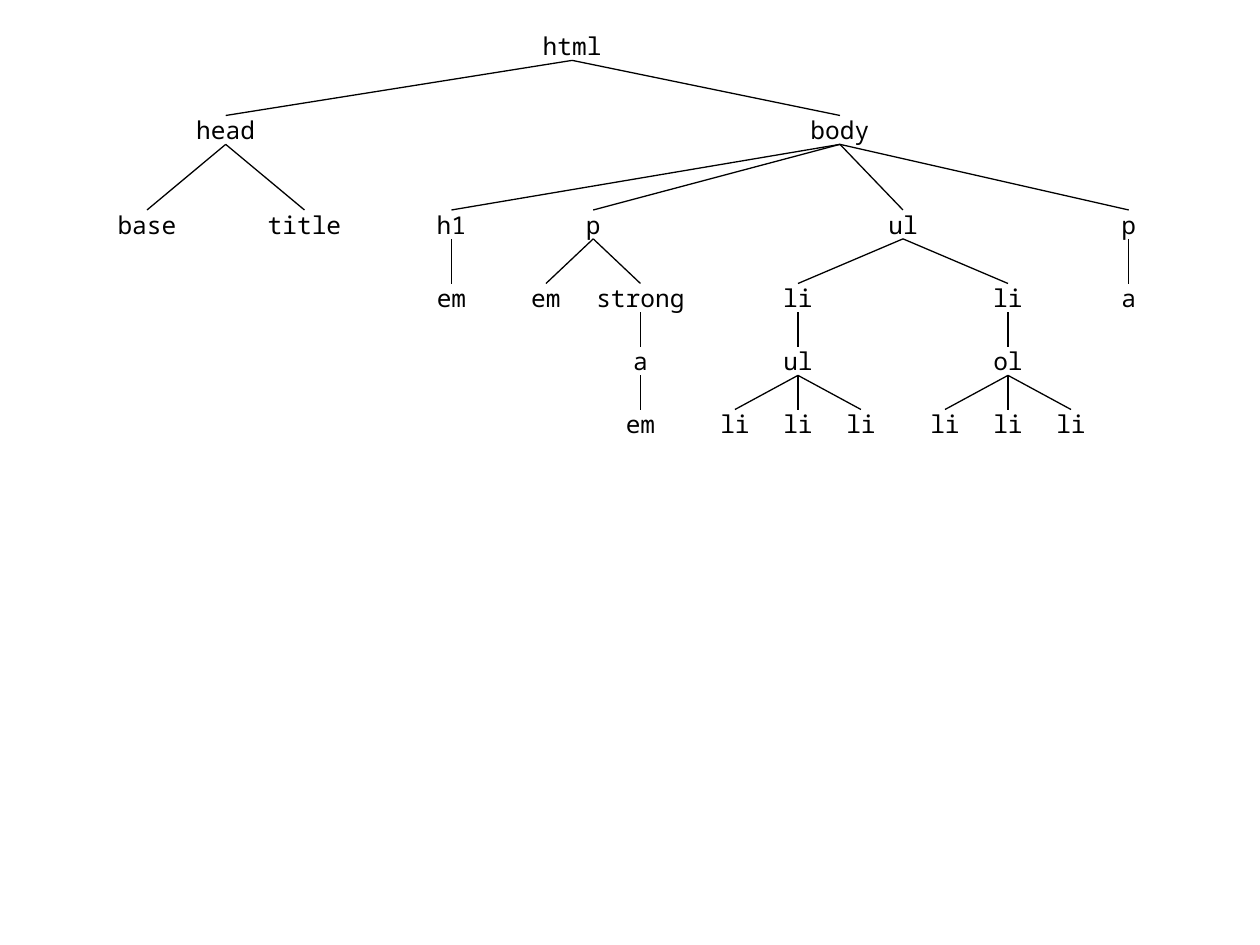
from pptx import Presentation
from pptx.dml.color import RGBColor
from pptx.enum.shapes import MSO_CONNECTOR
from pptx.enum.text import MSO_ANCHOR, MSO_AUTO_SIZE, PP_ALIGN
from pptx.oxml.ns import qn
from pptx.util import Inches, Pt
from lxml import etree

STRAIGHT = MSO_CONNECTOR.STRAIGHT
TOP_SIDE, BOTTOM_SIDE = 0, 2
GRID = Inches(1) / 24
LEVEL_ROWS = [6, 22, 40, 54, 66, 78]
LABEL_ROWS = 5.5
BLACK = "000000"

FRAME_FORMAT = {
    "margin_left": 0, "margin_right": 0, "margin_top": 0, "margin_bottom": 0,
    "word_wrap": True, "auto_size": MSO_AUTO_SIZE.SHAPE_TO_FIT_TEXT,
    "vertical_anchor": MSO_ANCHOR.TOP,
}
PARAGRAPH_FORMAT = {"alignment": PP_ALIGN.CENTER, "space_before": Pt(8.8)}
FONT_FORMAT = {"name": "Noto Sans Mono", "size": Pt(14)}


def element(tag, center, width, *children):
    return tag, center, width, children


def item_list(tag, center):
    items = [element("li", center + offset, 16) for offset in (-12, 0, 12)]
    return element(tag, center, 16, *items)


DOCUMENT_TREE = element(
    "html", 109, 26,
    element("head", 43, 18,
            element("base", 28, 16),
            element("title", 58, 20)),
    element("body", 160, 24,
            element("h1", 86, 12, element("em", 86, 16)),
            element("p", 113, 14,
                    element("em", 104, 12),
                    element("strong", 122, 24,
                            element("a", 122, 16, element("em", 122, 16)))),
            element("ul", 172, 16,
                    element("li", 152, 12, item_list("ul", 152)),
                    element("li", 192, 12, item_list("ol", 192))),
            element("p", 215, 14, element("a", 215, 16))))


def grid(units):
    return round(units * GRID)


def color(hex_value):
    return RGBColor.from_string(hex_value)


def apply_format(target, values):
    for name, value in values.items():
        setattr(target, name, value)


def add_label(slide, tag, center, width, level):
    shape = slide.shapes.add_textbox(
        grid(center - width / 2), grid(LEVEL_ROWS[level]),
        grid(width), grid(LABEL_ROWS))
    apply_format(shape.text_frame, FRAME_FORMAT)
    paragraph = shape.text_frame.paragraphs[0]
    apply_format(paragraph, PARAGRAPH_FORMAT)
    run = paragraph.add_run()
    run.text = tag
    apply_format(run.font, FONT_FORMAT)
    run.font.color.rgb = color(BLACK)
    return shape


def add_branch(slide, parent, child):
    connector = slide.shapes.add_connector(STRAIGHT, 0, 0, 0, 0)
    connector.begin_connect(parent, BOTTOM_SIDE)
    connector.end_connect(child, TOP_SIDE)
    connector.line.width = Pt(0.75)
    connector.line.color.rgb = color(BLACK)
    properties = connector._element.spPr
    etree.SubElement(properties, qn("a:effectLst"))


def add_tree(slide, node, level=0):
    tag, center, width, children = node
    label = add_label(slide, tag, center, width, level)
    for child in children:
        add_branch(slide, label, add_tree(slide, child, level + 1))
    return label


def main():
    presentation = Presentation()
    presentation.slide_width = grid(240)
    presentation.slide_height = grid(180)
    slide = presentation.slides.add_slide(presentation.slide_layouts[6])
    add_tree(slide, DOCUMENT_TREE)
    presentation.save("out.pptx")


if __name__ == "__main__":
    main()
